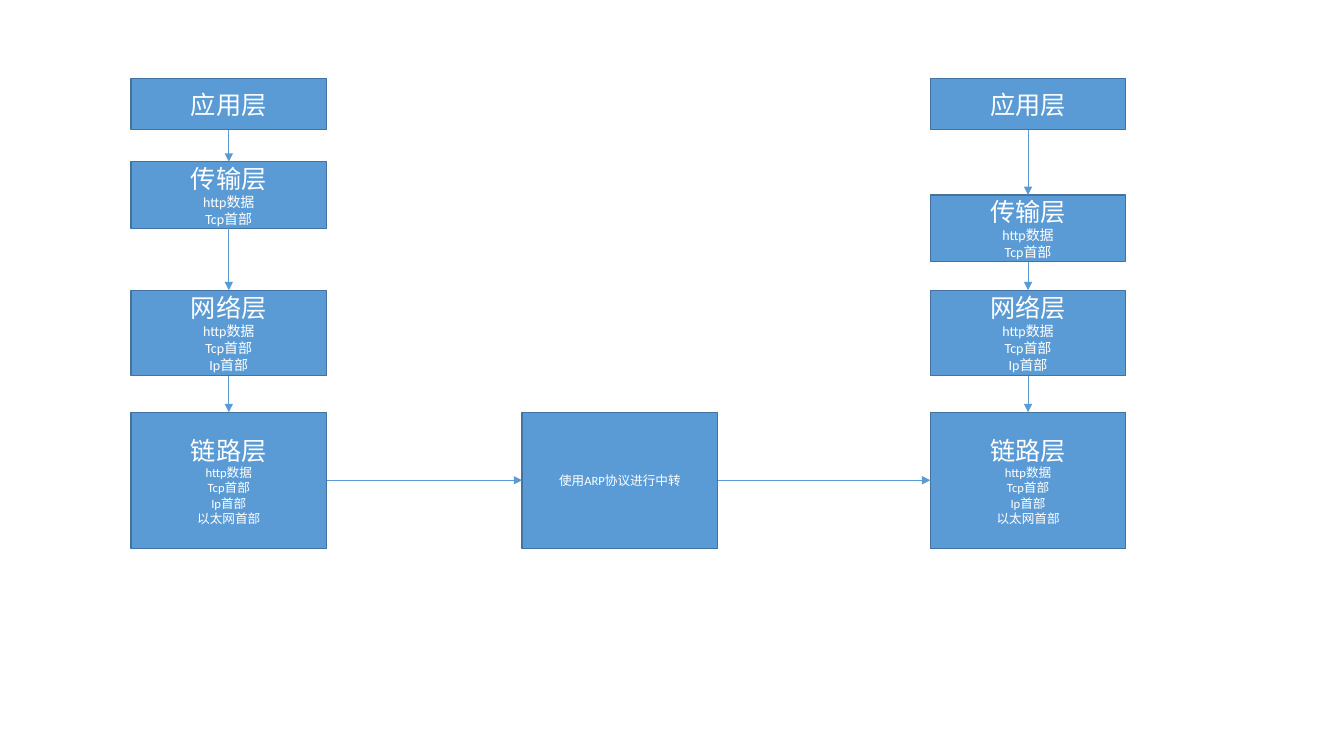
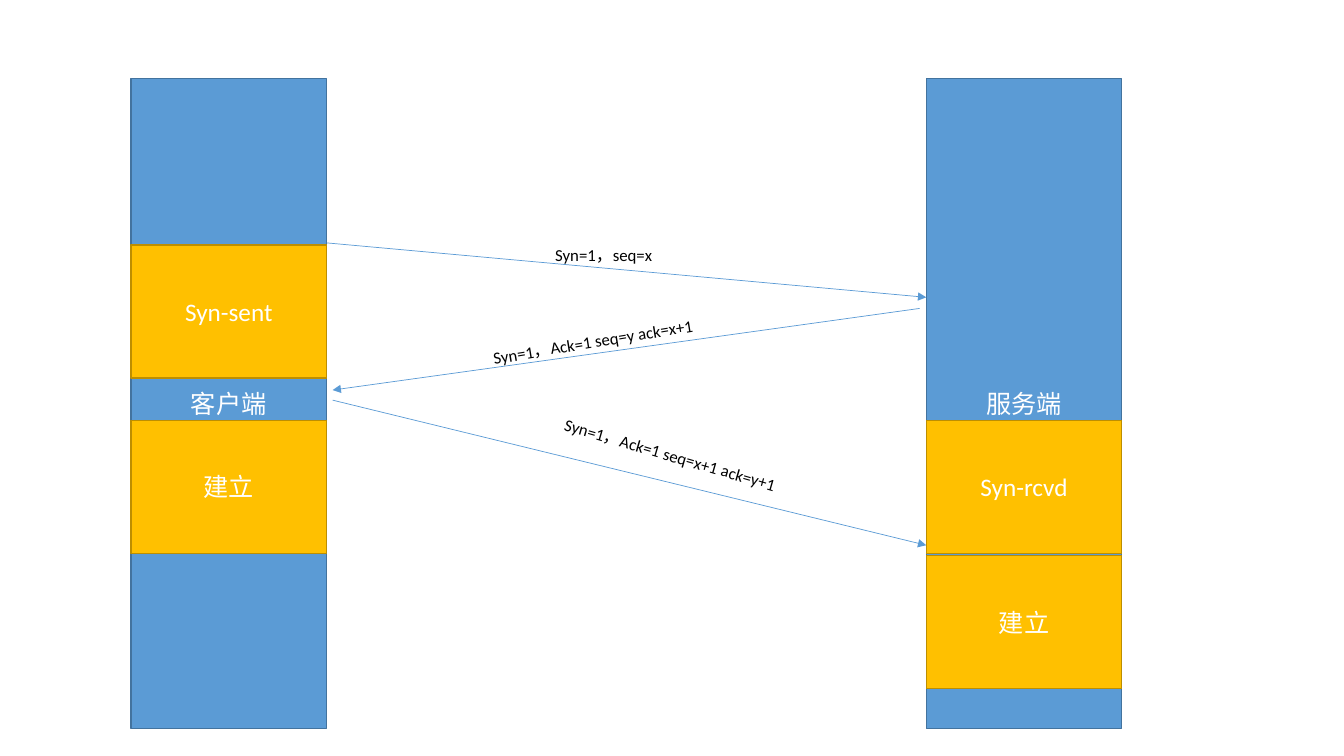
from dataclasses import dataclass

from lxml import etree
from pptx import Presentation, util as u
from pptx.dml.color import RGBColor
from pptx.enum import shapes, text
from pptx.oxml.ns import qn

# Shared look
FONT = "Calibri"
BLUE, BLUE_EDGE = RGBColor(0x5B, 0x9B, 0xD5), RGBColor(0x43, 0x73, 0x9E)
GOLD, GOLD_EDGE = RGBColor(0xFF, 0xC0, 0x00), RGBColor(0xBD, 0x8E, 0x00)
WHITE, BLACK = RGBColor(0xFF, 0xFF, 0xFF), RGBColor(0, 0, 0)
HEAD_SIZE = 18
TOP, LEFT, BOTTOM, RIGHT = range(4)  # connection sites of a rectangle

# Lengths are percentages of the slide's width and height
CLIENT_X, RELAY_X, HOST_X, SERVER_X = 9.75, 38.85, 69.22, 68.92
BOX_W, BAND_Y, BAND_H = 14.55, 10.4, 86
LINK_Y, LINK_H, STATE_H = 54.53, 18, 17.6

prs = Presentation()
prs.slide_width, prs.slide_height = u.Inches(13.33), u.Inches(7.5)


def px(share: float) -> int:
    return round(prs.slide_width * share / 100)


def py(share: float) -> int:
    return round(prs.slide_height * share / 100)


@dataclass
class Box:
    x: float
    y: float
    h: float
    head: str
    details: tuple[str, ...] = ()
    head_size: int = HEAD_SIZE
    detail_size: int = 10
    fill: RGBColor = BLUE
    edge: RGBColor = BLUE_EDGE


@dataclass
class Layer:
    y: float
    h: float
    head: str
    detail_count: int
    detail_size: int = 10


@dataclass
class Message:
    start: tuple[float, float]
    end: tuple[float, float]
    label: str
    label_at: tuple[float, float, float]  # left, top, width
    rotation: float = 0


def style_text(p, size: int, color: RGBColor) -> None:
    p.font.name, p.font.size = FONT, u.Pt(size)
    p.font.color.rgb = color


def add_box(s, box: Box):
    sp = s.shapes.add_shape(shapes.MSO_SHAPE.RECTANGLE,
                            px(box.x), py(box.y), px(BOX_W), py(box.h))
    sp.shadow.inherit = False
    sp.fill.solid()
    sp.fill.fore_color.rgb = box.fill
    sp.line.color.rgb, sp.line.width = box.edge, u.Pt(1)
    tf = sp.text_frame
    tf.word_wrap, tf.vertical_anchor = True, text.MSO_ANCHOR.MIDDLE
    tf.text = "\n".join((box.head, *box.details))
    for i, p in enumerate(tf.paragraphs):
        p.alignment = text.PP_ALIGN.CENTER
        style_text(p, box.detail_size if i else box.head_size, WHITE)
    return sp


def add_arrow(s, start: tuple[float, float] = (0, 0), end: tuple[float, float] = (0, 0)):
    cx = s.shapes.add_connector(shapes.MSO_CONNECTOR.STRAIGHT,
                                px(start[0]), py(start[1]), px(end[0]), py(end[1]))
    cx.line.color.rgb, cx.line.width = BLUE, u.Pt(0.5)
    etree.SubElement(cx.line._get_or_add_ln(), qn("a:tailEnd"), type="triangle")
    etree.SubElement(cx._element.spPr, qn("a:effectLst"))
    return cx


def join(s, first, first_site: int, second, second_site: int) -> None:
    cx = add_arrow(s)
    cx.begin_connect(first, first_site)
    cx.end_connect(second, second_site)


def add_message(s, m: Message) -> None:
    add_arrow(s, m.start, m.end)
    x, y, w = m.label_at
    sp = s.shapes.add_textbox(px(x), py(y), px(w), py(4))
    sp.rotation = m.rotation
    tf = sp.text_frame
    tf.word_wrap, tf.auto_size = True, text.MSO_AUTO_SIZE.SHAPE_TO_FIT_TEXT
    tf.text = m.label
    style_text(tf.paragraphs[0], 12, BLACK)


def add_stack(s, x: float, transport_y: float):
    """Draw the four layers joined downwards; return the link layer."""
    layers = (
        Layer(BAND_Y, 6.75, "应用层", 0),
        Layer(transport_y, 8.8, "传输层", 2),
        Layer(38.4, 11.3, "网络层", 3),
        Layer(LINK_Y, LINK_H, "链路层", 4, 9),
    )
    headers = ("http数据", "Tcp首部", "Ip首部", "以太网首部")
    boxes = [add_box(s, Box(x, la.y, la.h, la.head, headers[:la.detail_count],
                            detail_size=la.detail_size)) for la in layers]
    for upper, lower in zip(boxes, boxes[1:]):
        join(s, upper, BOTTOM, lower, TOP)
    return boxes[-1]


blank = prs.slide_layouts[6]

# Slide 1: protocol layers on two hosts, linked through ARP
s = prs.slides.add_slide(blank)
sender = add_stack(s, CLIENT_X, 21.4)
receiver = add_stack(s, HOST_X, 25.8)
relay = add_box(s, Box(RELAY_X, LINK_Y, LINK_H, "使用ARP协议进行中转", head_size=9))
join(s, sender, RIGHT, relay, LEFT)
join(s, relay, RIGHT, receiver, LEFT)

# Slide 2: three-way handshake
s = prs.slides.add_slide(blank)
for x, name in ((CLIENT_X, "客户端"), (SERVER_X, "服务端")):
    add_box(s, Box(x, BAND_Y, BAND_H, name))

client_edge, client_gap = CLIENT_X + BOX_W, CLIENT_X + BOX_W + 0.45
for message in (
    Message((client_edge, 32.13), (SERVER_X, 39.33), "Syn=1，seq=x",
            (40.57, 31.73, 15.15)),
    Message((SERVER_X - 0.5, 40.8), (client_gap, 51.6), "Syn=1，Ack=1 seq=y ack=x+1",
            (35.85, 42.67, 19.88), 350.6),
    Message((client_gap, 52.93), (SERVER_X, 72.13), "Syn=1，Ack=1 seq=x+1 ack=y+1",
            (40.95, 58.67, 19.88), 16.2),
):
    add_message(s, message)

# Connection states
for x, y, state in (
    (CLIENT_X, 32.4, "Syn-sent"),
    (SERVER_X, 55.6, "Syn-rcvd"),
    (CLIENT_X, 55.6, "建立"),
    (SERVER_X, 73.5, "建立"),
):
    add_box(s, Box(x, y, STATE_H, state, fill=GOLD, edge=GOLD_EDGE))

prs.save("out.pptx")
